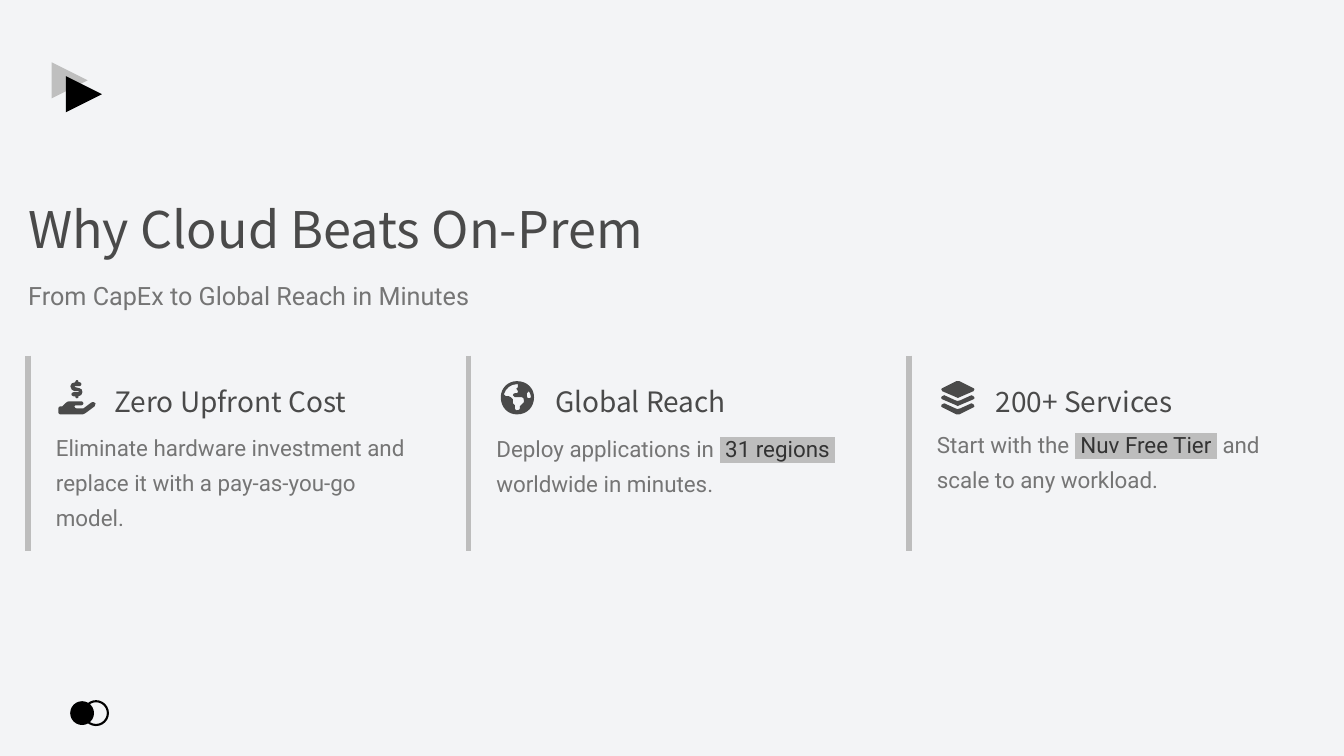
from lxml.etree import SubElement
from pptx import Presentation
from pptx.dml.color import RGBColor
from pptx.enum.shapes import MSO_CONNECTOR as Link, MSO_SHAPE as Kind
from pptx.enum.text import MSO_ANCHOR as Anchor, MSO_AUTO_SIZE as Fit, PP_ALIGN as Align
from pptx.oxml.ns import qn
from pptx.util import Cm, Pt

HUES = {"page": "F3F4F6", "ink": "4A4A4A", "soft": "757575", "bar": "BDBDBD",
        "mark": "333333", "black": "000000", "shade": "BFBFBF"}
HEAD, BODY = "Noto Sans CJK SC", "Roboto"

TITLE = "Why Cloud Beats On-Prem"
SUB = "From CapEx to Global Reach in Minutes"

# Icon outlines: first the start, then lines (x y) or curves (three x y pairs).
HAND = [
    "18 0, 18 0 17 0 17 1, 17 2, 14 2 12 4 12 6, 12 9 14 10 16 11, 20 11,"
    "20 11 21 11 21 12, 20 12, 15 12, 14 12 13 13 13 14, 13 15 14 16 15 16,"
    "17 16, 17 17, 17 18 18 18 18 18, 19 18 20 18 20 17, 20 16,"
    "22 16 24 14 24 12, 24 10 23 8 21 8, 17 7, 16 7 16 7 16 6, 17 6, 21 6,"
    "22 6 23 5 23 4, 23 3 22 2 21 2, 20 2, 20 1, 20 0 19 0 18 0",
    "7 23, 4 26, 2 26, 1 26 0 27 0 28, 0 32, 0 33 1 34 2 34, 23 34,"
    "24 34 26 34 28 32, 36 26, 37 25 37 24 37 23, 36 22 34 21 33 22, 25 28,"
    "18 28, 17 28 16 27 16 26, 16 25 17 25 18 25, 23 25, 24 25 25 24 25 23,"
    "25 22 24 21 23 21, 13 21, 10 21 8 21 7 23",
]
GLOBE = [
    "5 14, 7 16, 10 16, 11 16 11 17 12 17, 14 19, 14 23, 14 23 14 24 15 24,"
    "16 25, 16 28, 16 29 17 30 18 30, 20 30 21 29 21 28, 21 26, 24 23,"
    "24 23 25 22 25 22, 25 20, 25 18 24 17 23 17, 16 17, 15 16,"
    "14 16 14 15 14 15, 14 14 15 13 16 13, 18 13, 19 13 19 13 19 12, 19 11,"
    "18 9, 17 9, 17 8 17 8 18 8, 19 7, 19 4, 18 4, 12 4 7 8 5 14",
    "32 17, 32 15 31 13 30 11, 29 12, 28 13, 28 16, 28 18 29 18 30 18,"
    "31 18, 32 18 32 18 32 17",
    "2 17, 2 8 9 1 18 1, 28 1 35 8 35 17, 35 27 28 34 18 34, 9 34 2 27 2 17",
]
STACK = [
    "17 1, 18 1 19 1 20 1, 34 8, 35 8 35 8 35 9, 35 10 35 10 34 11, 20 17,"
    "19 18 18 18 17 17, 3 11, 2 10 2 10 2 9, 2 9 2 8 3 8",
    "5 15, 16 20, 17 21 19 21 21 20, 32 15, 34 16, 35 16 35 17 35 17,"
    "35 18 35 19 34 19, 20 25, 19 26 18 26 17 25, 3 19, 2 19 2 18 2 17,"
    "2 17 2 16 3 16",
    "3 24, 5 23, 16 28, 17 29 19 29 21 28, 32 23, 34 24, 35 25 35 25 35 26,"
    "35 26 35 27 34 27, 20 34, 19 34 18 34 17 34, 3 27, 2 27 2 26 2 26,"
    "2 25 2 24 3 24",
]

# icon, heading, (plain, marked, plain) text, heading width, text height
CARDS = [
    (HAND, "Zero Upfront Cost",
     ("Eliminate hardware investment and replace it with a pay-as-you-go model.",),
     7.42, 2.54),
    (GLOBE, "Global Reach",
     ("Deploy applications in ", " 31 regions ", " worldwide in minutes."),
     5.74, 1.7),
    (STACK, "200+ Services",
     ("Start with the ", " Nuv Free Tier ", " and scale to any workload."),
     5.99, 1.5),
]
# kind, left, top, size, turn, fill, line
SIGNS = [
    (Kind.ROUNDED_RECTANGLE, 1.77, 17.67, 0.6, 0, "black", None),
    (Kind.ROUNDED_RECTANGLE, 2.12, 17.67, 0.6, 0, None, "black"),
    (Kind.ISOSCELES_TRIANGLE, 1.3, 1.57, 0.91, 90, "shade", None),
    (Kind.ISOSCELES_TRIANGLE, 1.66, 1.92, 0.91, 90, "black", None),
]
LEFT, STEP, TOP, TALL = 0.71, 11.1, 8.96, 4.93
UNIT = 0.0254

deck = Presentation()
deck.slide_width, deck.slide_height = Cm(33.87), Cm(19.05)
slide = deck.slides.add_slide(deck.slide_layouts[0])
shapes = slide.shapes


def hue(name):
    return RGBColor.from_string(HUES[name])


slide.background.fill.solid()
slide.background.fill.fore_color.rgb = hue("page")


def write(parts, left, top, width, height, *, size, font, color, gap, box=None):
    """Fill a box with runs; every second run is highlighted."""
    box = box or shapes.add_textbox(0, 0, 0, 0)
    box.left, box.top, box.width, box.height = map(Cm, (left, top, width, height))
    frame = box.text_frame
    frame.word_wrap, frame.auto_size = True, Fit.NONE
    frame.vertical_anchor = Anchor.MIDDLE
    frame.margin_left = frame.margin_right = frame.margin_top = frame.margin_bottom = 0
    para = frame.paragraphs[0]
    para.alignment, para.line_spacing, para.space_before = Align.LEFT, gap, Pt(0)
    for spot, text in enumerate(parts):
        run = para.add_run()
        run.text = text
        run.font.size = Pt(size)
        marked = spot % 2 == 1
        run.font.color.rgb = hue("mark" if marked else color)
        if marked:
            glow = SubElement(run.font._element, qn("a:highlight"))
            SubElement(glow, qn("a:srgbClr"), val=HUES["bar"])
        run.font.name = font


def paint(shape, fill, line=None):
    shape.shadow.inherit = False
    if fill:
        shape.fill.solid()
        shape.fill.fore_color.rgb = hue(fill)
    else:
        shape.fill.background()
    if line:
        shape.line.color.rgb, shape.line.width = hue(line), Pt(1.5)
    else:
        shape.line.fill.background()


def draw_icon(outlines, left, top):
    """Lay out the end points as lines, then bend those that have handles."""
    pen, bends = None, []
    for outline in outlines:
        parts = []
        for part in outline.split(","):
            nums = [int(n) for n in part.split()]
            parts.append([(Cm(left + x * UNIT), Cm(top + y * UNIT))
                          for x, y in zip(nums[::2], nums[1::2])])
        start, *rest = parts
        if pen is None:
            pen = shapes.build_freeform(*start[0])
        else:
            pen.move_to(*start[0])
        pen.add_line_segments([ends[-1] for ends in rest], close=True)
        bends += [ends[:-1] for ends in rest]
    icon = pen.convert_to_shape()
    lines = list(icon._element.iter(qn("a:lnTo")))
    for line, grips in zip(lines, bends):
        if grips:
            curve = SubElement(line.getparent(), qn("a:cubicBezTo"))
            for x, y in grips:
                SubElement(curve, qn("a:pt"), x=str(x - icon.left), y=str(y - icon.top))
            curve.append(line[0])
            line.getparent().replace(line, curve)
    paint(icon, "ink")


for kind, left, top, size, turn, fill, line in SIGNS:
    sign = shapes.add_shape(kind, Cm(left), Cm(top), Cm(size), Cm(size))
    sign.rotation = turn
    if kind == Kind.ROUNDED_RECTANGLE:
        sign.adjustments[0] = 0.5
    paint(sign, fill, line)

write([TITLE], LEFT, 5.14, 33.87, 1.42, size=36, font=HEAD, color="ink", gap=0.9,
      box=shapes.title)
write([SUB], LEFT, 6.83, 33.87, 0.99, size=18, font=BODY, color="soft", gap=1.3,
      box=slide.placeholders[1])

for col, (icon, head, parts, width, height) in enumerate(CARDS):
    left = LEFT + col * STEP
    bar = shapes.add_connector(Link.STRAIGHT, Cm(left), Cm(TOP), Cm(left), Cm(TOP + TALL))
    bar.line.color.rgb, bar.line.width = hue("bar"), Pt(4)
    SubElement(bar._element.spPr, qn("a:effectLst"))
    draw_icon(icon, left + 0.76, TOP + 0.62)
    write([head], left + 2.18, 9.53, width, 0.99, size=20, font=HEAD, color="ink", gap=1.2)
    write(parts, left + 0.7, 10.79, 8.99, height, size=16, font=BODY, color="soft", gap=1.3)

deck.save("out.pptx")
